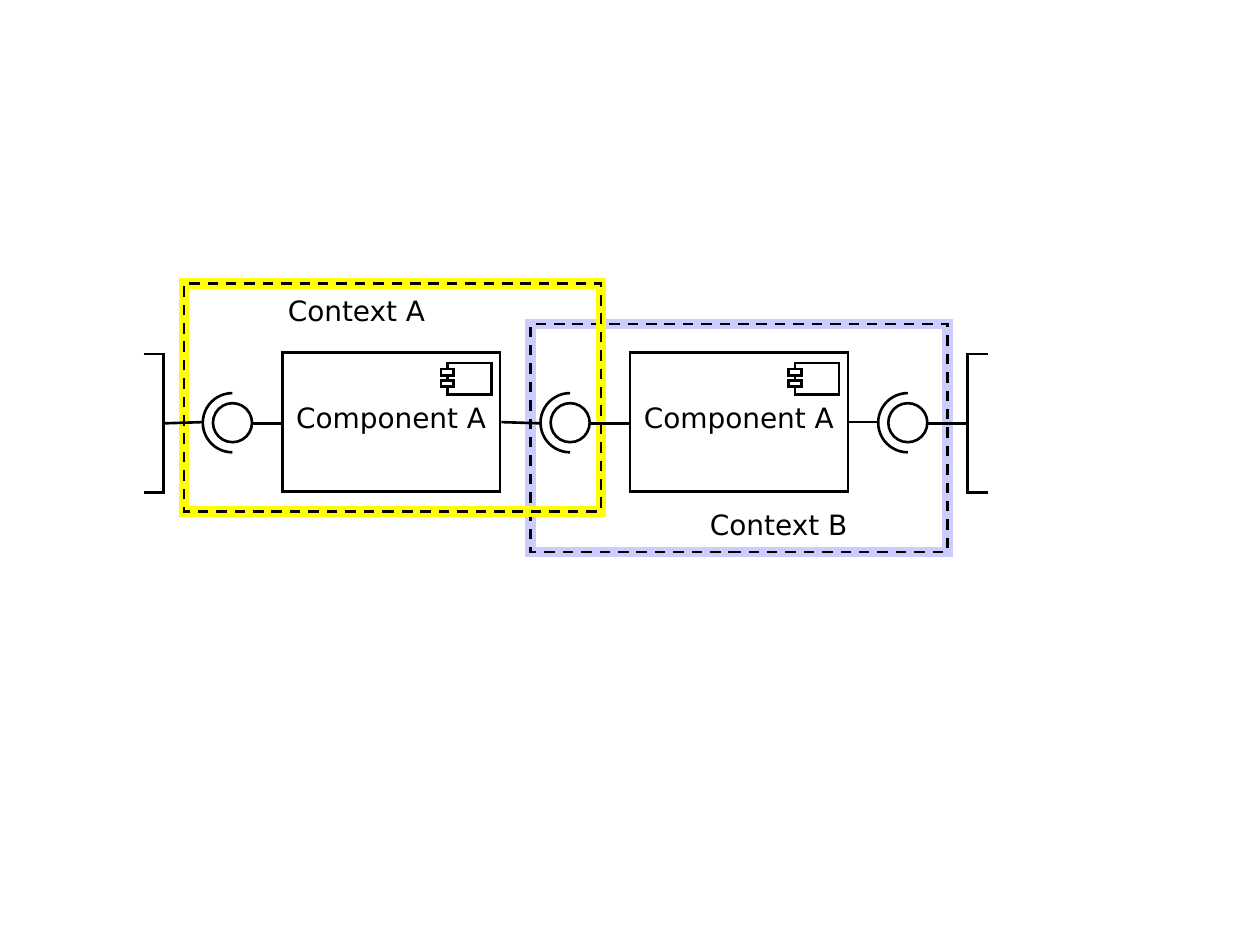
"""Build a UML component slide with two overlapping contexts."""
from pptx import Presentation
from pptx.dml.color import RGBColor
from pptx.enum.dml import MSO_LINE
from pptx.enum.shapes import MSO_CONNECTOR, MSO_SHAPE
from pptx.enum.text import MSO_ANCHOR, PP_ALIGN
from pptx.oxml.ns import qn
from pptx.util import Inches, Pt
from lxml.etree import SubElement

COLORS = {"ink": "000000", "paper": "FFFFFF", "yellow": "FFFF00", "lilac": "CCCCFF"}
SOLID = {"width": Pt(1.5)}
DASHED = {"width": Pt(1.5), "dash_style": MSO_LINE.DASH}
BAND = {"width": Pt(6)}


def outline(sp, color="ink", fmt=SOLID):
    sp.line.color.rgb = RGBColor.from_string(COLORS[color])
    for name, value in fmt.items():
        setattr(sp.line, name, value)
    SubElement(sp.line._get_or_add_ln(), qn("a:miter"), lim="800000")
    if sp._element.spPr.find(qn("a:effectLst")) is None:
        SubElement(sp._element.spPr, qn("a:effectLst"))


def add_shape(kind, box, color="ink", fmt=SOLID, fill=None):
    sp = s.shapes.add_shape(kind, *map(Inches, box))
    if fill:
        sp.fill.solid()
        sp.fill.fore_color.rgb = RGBColor.from_string(COLORS[fill])
    else:
        sp.fill.background()
    outline(sp, color, fmt)
    return sp


prs = Presentation()
prs.slide_width, prs.slide_height = Inches(10), Inches(7.5)
s = prs.slides.add_slide(prs.slide_layouts[6])

for x, y, color in [(4.21, 2.57, "lilac"), (1.46, 2.25, "yellow")]:
    for line_color, fmt in [(color, BAND), ("ink", DASHED)]:
        add_shape(MSO_SHAPE.RECTANGLE, (x, y, 3.31, 1.81), line_color, fmt)

for x in (2.24, 5):
    add_shape(MSO_SHAPE.RECTANGLE, (x, 2.8, 1.73, 1.1))
    icon = [(1.31, 2.88, 0.35, 0.25), (1.26, 2.93, 0.1, 0.05), (1.26, 3.02, 0.1, 0.05)]
    for dx, y, w, h in icon:
        add_shape(MSO_SHAPE.RECTANGLE, (x + dx, y, w, h), fill="paper")

for x in (1.61, 4.29, 6.97):
    sp = add_shape(MSO_SHAPE.ARC, (x, 3.12, 0.47, 0.47))
    sp.adjustments[0], sp.adjustments[1] = 54, 162
    add_shape(MSO_SHAPE.OVAL, (x + 0.08, 3.2, 0.31, 0.31))

links = [
    (1.3, 3.36, 1.61, 3.35), (2.01, 3.36, 2.24, 3.36), (3.98, 3.35, 4.29, 3.36),
    (4.69, 3.36, 5, 3.36), (6.73, 3.35, 6.97, 3.35), (7.36, 3.36, 7.68, 3.36),
]
for ends in links:
    outline(s.shapes.add_connector(MSO_CONNECTOR.STRAIGHT, *map(Inches, ends)))

top, bottom = Inches(2.81), Inches(3.91)
for tip, edge in [(Inches(1.14), Inches(1.3)), (Inches(7.84), Inches(7.68))]:
    fb = s.shapes.build_freeform(tip, top)
    fb.add_line_segments([(edge, top), (edge, bottom), (tip, bottom)], close=False)
    sp = fb.convert_to_shape()
    sp.fill.background()
    outline(sp)

labels = [
    ("Context A", (1.53, 2.33, 2.6, 0.31), 0, 4),
    ("Component A", (2.24, 3.13, 1.73, 0.37), 0.05, 10),
    ("Component A", (5, 3.13, 1.73, 0.37), 0.05, 10),
    ("Context B", (4.84, 4.03, 2.68, 0.31), 0, 4),
]
for text, box, inset, before in labels:
    tf = s.shapes.add_textbox(*map(Inches, box)).text_frame
    frame = {
        "word_wrap": True, "vertical_anchor": MSO_ANCHOR.TOP,
        "margin_left": 0, "margin_right": 0,
        "margin_top": Inches(inset), "margin_bottom": Inches(inset),
    }
    for name, value in frame.items():
        setattr(tf, name, value)
    p = tf.paragraphs[0]
    p.alignment, p.space_before = PP_ALIGN.CENTER, Pt(before)
    r = p.add_run()
    r.text = text
    for name, value in {"name": "DejaVu Sans", "size": Pt(16)}.items():
        setattr(r.font, name, value)
    r.font.color.rgb = RGBColor.from_string(COLORS["ink"])

prs.save("out.pptx")
